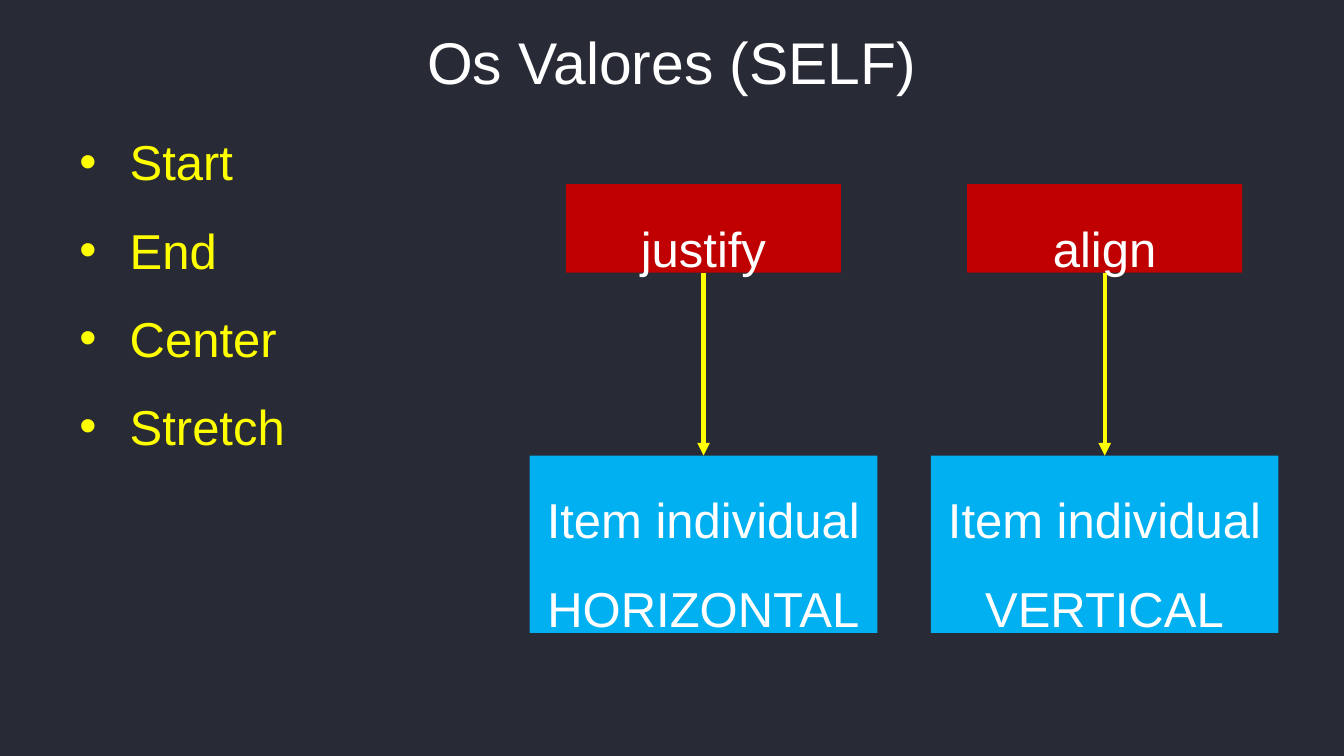
from dataclasses import dataclass

from lxml import etree
from pptx import Presentation
from pptx.dml.color import RGBColor
from pptx.enum import shapes, text
from pptx.oxml import ns
from pptx.util import Cm, Pt


@dataclass(frozen=True)
class Theme:
    background: RGBColor = RGBColor(0x28, 0x2A, 0x36)
    white: RGBColor = RGBColor(0xFF, 0xFF, 0xFF)
    yellow: RGBColor = RGBColor(0xFF, 0xFF, 0x00)
    red: RGBColor = RGBColor(0xC0, 0x00, 0x00)
    blue: RGBColor = RGBColor(0x00, 0xB0, 0xF0)
    font: str = "Arial"
    title_size: Pt = Pt(42)
    body_size: Pt = Pt(35)
    arrow_width: Pt = Pt(3)


THEME = Theme()
VALUES = ("Start", "End", "Center", "Stretch")
PROPERTIES = (("justify", "HORIZONTAL"), ("align", "VERTICAL"))
FIRST_CENTER, COLUMN_STEP = Cm(17.73), Cm(10.11)


def format_text(frame, size, color, alignment, line_spacing):
    frame.vertical_anchor = text.MSO_ANCHOR.TOP
    for paragraph in frame.paragraphs:
        paragraph.alignment = alignment
        paragraph.line_spacing = line_spacing
        for run in paragraph.runs:
            run.font.name = THEME.font
            run.font.size = size
            run.font.color.rgb = color


def add_title(slide, wording):
    title = slide.shapes.title
    title.left, title.top = Cm(7.16), Cm(0.53)
    title.width, title.height = Cm(19.53), Cm(2.05)
    title.text_frame.text = wording
    title.text_frame.auto_size = text.MSO_AUTO_SIZE.NONE
    format_text(title.text_frame, THEME.title_size, THEME.white, text.PP_ALIGN.CENTER, 1.0)


def add_bullet_list(slide, items):
    box = slide.shapes.add_textbox(Cm(1.75), Cm(2.46), Cm(12.5), Cm(8.97))
    frame = box.text_frame
    frame.word_wrap = True
    frame.text = "\n".join(items)
    format_text(frame, THEME.body_size, THEME.yellow, text.PP_ALIGN.JUSTIFY, 1.5)
    for paragraph in frame.paragraphs:
        properties = paragraph._p.get_or_add_pPr()
        properties.set("marL", str(Cm(1.27)))
        properties.set("indent", str(-Cm(1.27)))
        etree.SubElement(properties, ns.qn("a:buFont"), typeface=THEME.font)
        etree.SubElement(properties, ns.qn("a:buChar"), char="•")


def add_box(slide, center, top, width, height, fill, wording):
    box = slide.shapes.add_shape(
        shapes.MSO_SHAPE.RECTANGLE, center - width // 2, top, width, height)
    box.shadow.inherit = False
    box.fill.solid()
    box.fill.fore_color.rgb = fill
    box.line.fill.background()
    box.text_frame.word_wrap = True
    box.text_frame.text = wording
    format_text(box.text_frame, THEME.body_size, THEME.white, text.PP_ALIGN.CENTER, 1.5)
    return box


def add_arrow(slide, upper, lower):
    """Join the bottom of the upper box to the top of the lower one."""
    arrow = slide.shapes.add_connector(shapes.MSO_CONNECTOR.STRAIGHT, 0, 0, 0, 0)
    arrow.begin_connect(upper, 2)
    arrow.end_connect(lower, 0)
    arrow.line.color.rgb = THEME.yellow
    arrow.line.width = THEME.arrow_width
    etree.SubElement(arrow.line._get_or_add_ln(), ns.qn("a:tailEnd"), type="triangle")
    etree.SubElement(arrow._element.spPr, ns.qn("a:effectLst"))


def add_property(slide, center, name, direction):
    upper = add_box(slide, center, Cm(4.64), Cm(6.93), Cm(2.23), THEME.red, name)
    lower = add_box(slide, center, Cm(11.48), Cm(8.76), Cm(4.47), THEME.blue,
                    f"Item individual\n{direction}")
    add_arrow(slide, upper, lower)


def main():
    presentation = Presentation()
    presentation.slide_width, presentation.slide_height = Cm(33.87), Cm(19.05)
    slide = presentation.slides.add_slide(presentation.slide_layouts[5])
    slide.background.fill.solid()
    slide.background.fill.fore_color.rgb = THEME.background
    add_title(slide, "Os Valores (SELF)")
    add_bullet_list(slide, VALUES)
    for column, (name, direction) in enumerate(PROPERTIES):
        add_property(slide, FIRST_CENTER + column * COLUMN_STEP, name, direction)
    presentation.save("out.pptx")


if __name__ == "__main__":
    main()
